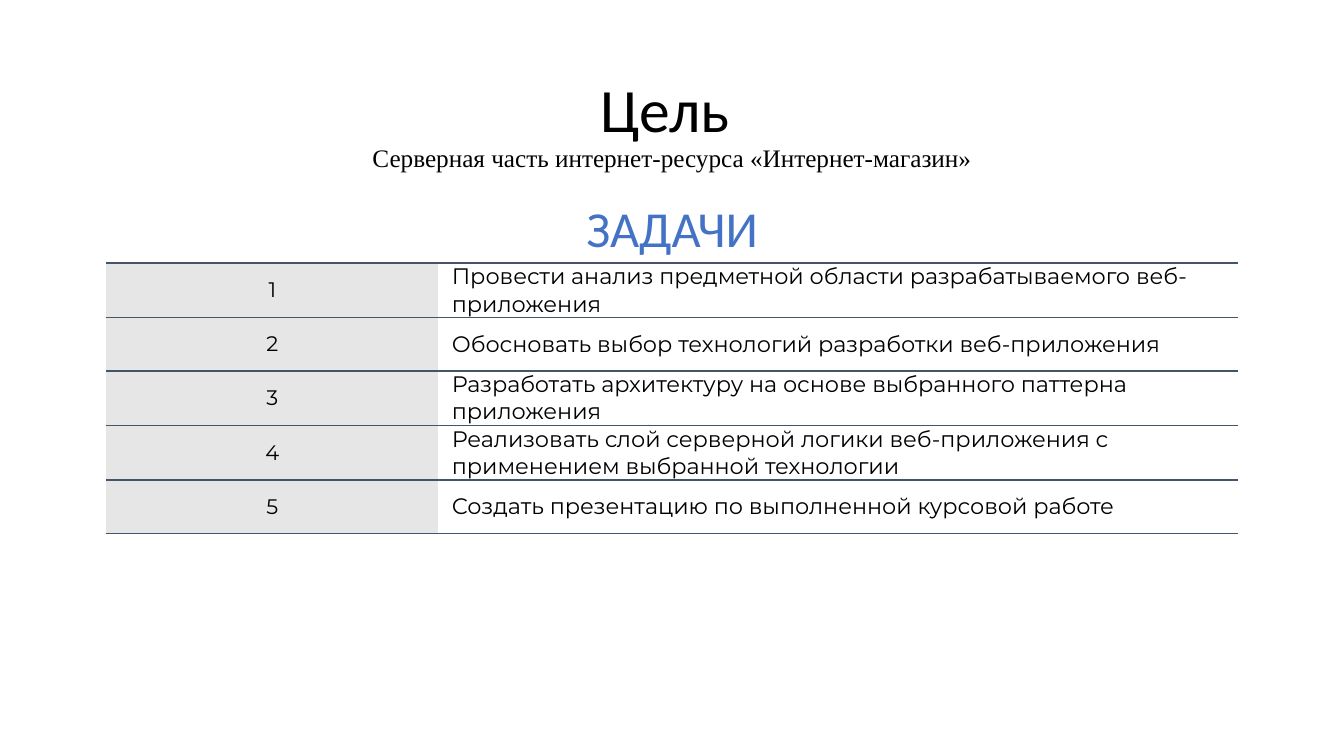
import pptx
import pptx.util
import pptx.dml.color
import pptx.enum.text
import pptx.oxml

Pt = pptx.util.Pt
ALIGN = pptx.enum.text.PP_ALIGN
ANCHOR = pptx.enum.text.MSO_ANCHOR

GOAL = [
    ("Цель ", 44, "Calibri"),
    ("Серверная часть интернет-ресурса «Интернет-магазин»", 18, "Times New Roman"),
]
TASKS_HEADING = "ЗАДАЧИ"
TASKS = [
    "Провести анализ предметной области разрабатываемого веб-приложения",
    "Обосновать выбор технологий разработки веб-приложения",
    "Разработать архитектуру на основе выбранного паттерна приложения",
    "Реализовать слой серверной логики веб-приложения с применением выбранной технологии",
    "Создать презентацию по выполненной курсовой работе",
]
COLORS = {"text": "000000", "heading": "4472C4", "number": "E7E6E6", "rule": "44546A"}

LEFT, WIDTH = 75.8, 808.6
NUMBER_WIDTH = 237.4
ROW_HEIGHT = 38.2
INSET = 9.6


def rgb(name):
    return pptx.dml.color.RGBColor.from_string(COLORS[name])


def add_run(p, text, size, font, color="text"):
    r = p.add_run()
    r.text = text
    r.font.size = Pt(size)
    r.font.name = font
    r.font.bold = False
    r.font.color.rgb = rgb(color)


def set_insets(tf):
    tf.margin_left = tf.margin_right = tf.margin_top = tf.margin_bottom = Pt(INSET)


def set_borders(cell):
    rule = f'<a:solidFill><a:srgbClr val="{COLORS["rule"]}"/></a:solidFill>'
    sides = {"lnL": "<a:noFill/>", "lnR": "<a:noFill/>", "lnT": rule, "lnB": rule}
    props = cell._tc.get_or_add_tcPr()
    for side, paint in sides.items():
        props.append(pptx.oxml.parse_xml(
            f'<a:{side} xmlns:a="http://schemas.openxmlformats.org/drawingml/2006/main"'
            f' w="{Pt(1.5)}">{paint}</a:{side}>'))


def fill_cell(cell, text, size, fill=None):
    set_borders(cell)
    if fill:
        cell.fill.solid()
        cell.fill.fore_color.rgb = rgb(fill)
    else:
        cell.fill.background()
    cell.margin_left = cell.margin_right = Pt(INSET)
    cell.margin_top = cell.margin_bottom = 0
    cell.vertical_anchor = ANCHOR.MIDDLE
    p = cell.text_frame.paragraphs[0]
    add_run(p, text, size, "Montserrat")
    return p


prs = pptx.Presentation()
prs.slide_width, prs.slide_height = Pt(960), Pt(540)
s = prs.slides.add_slide(prs.slide_layouts[5])

title = s.shapes.title
title.left, title.top, title.width, title.height = Pt(LEFT), Pt(46.8), Pt(WIDTH), Pt(60.5)
tf = title.text_frame
set_insets(tf)
tf.word_wrap = True
tf.auto_size = pptx.enum.text.MSO_AUTO_SIZE.NONE
tf.vertical_anchor = ANCHOR.TOP
for i, (text, size, font) in enumerate(GOAL):
    p = tf.add_paragraph() if i else tf.paragraphs[0]
    p.alignment = ALIGN.CENTER
    p.line_spacing = 0.9
    p.space_before = Pt(0)
    add_run(p, text, size, font)

frame = s.shapes.add_table(len(TASKS), 2, Pt(LEFT), Pt(187.9), Pt(WIDTH), Pt(ROW_HEIGHT * len(TASKS)))
table = frame.table
table.first_row = table.horz_banding = False
table.columns[0].width = Pt(NUMBER_WIDTH)
table.columns[1].width = Pt(WIDTH - NUMBER_WIDTH)
for i, task in enumerate(TASKS):
    table.rows[i].height = Pt(ROW_HEIGHT)
    fill_cell(table.cell(i, 0), str(i + 1), 15, "number").alignment = ALIGN.CENTER
    fill_cell(table.cell(i, 1), task, 16).space_after = Pt(16)

heading = s.shapes.add_textbox(Pt(397.4), Pt(131), Pt(165.6), Pt(63.4))
tf = heading.text_frame
set_insets(tf)
tf.word_wrap = True
tf.auto_size = pptx.enum.text.MSO_AUTO_SIZE.SHAPE_TO_FIT_TEXT
p = tf.paragraphs[0]
p.alignment = ALIGN.CENTER
add_run(p, TASKS_HEADING, 36, "Calibri", "heading")

prs.save("out.pptx")
